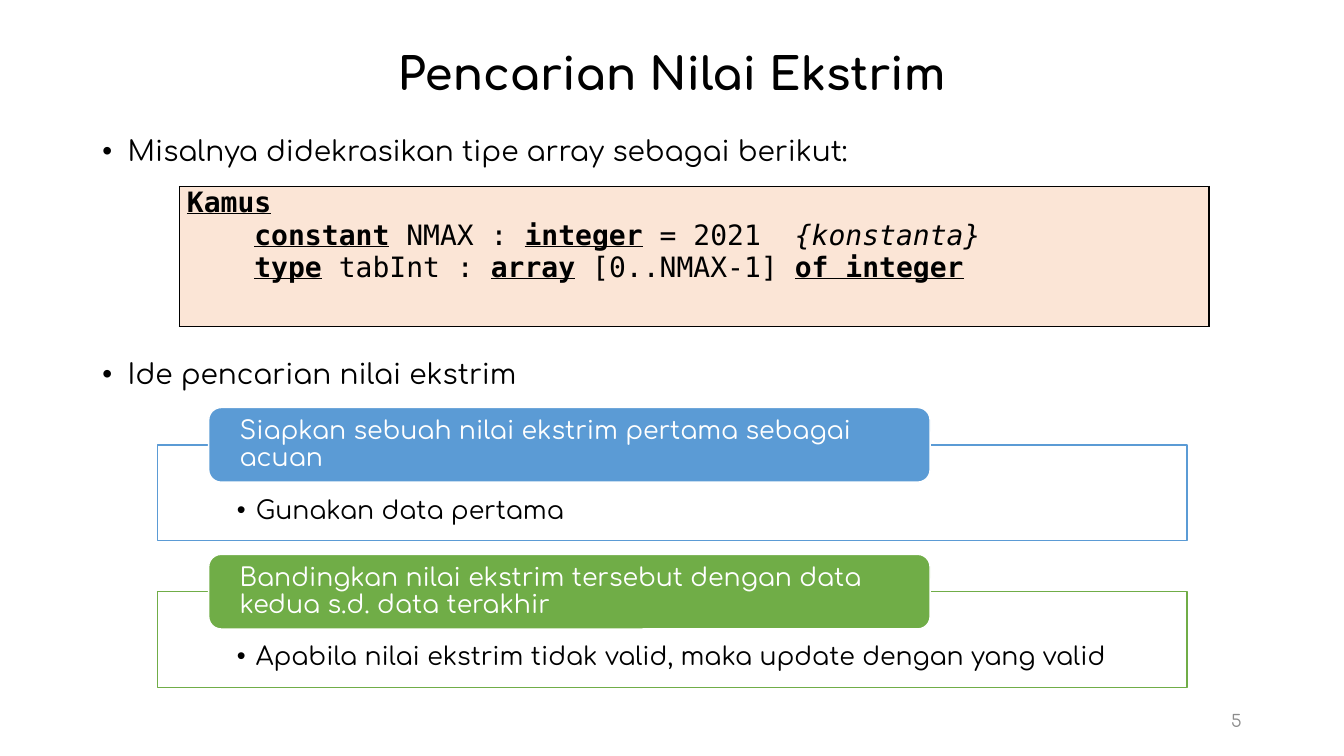
from lxml.etree import SubElement
from pptx import Presentation
from pptx.dml.color import RGBColor
from pptx.enum.shapes import MSO_SHAPE
from pptx.enum.text import MSO_ANCHOR, PP_ALIGN
from pptx.oxml.ns import qn
from pptx.util import Cm, Pt

BLACK = RGBColor(0x00, 0x00, 0x00)
WHITE = RGBColor(0xFF, 0xFF, 0xFF)
GRAY = RGBColor(0x8C, 0x8C, 0x8C)
BLUE = RGBColor(0x5B, 0x9B, 0xD5)
GREEN = RGBColor(0x70, 0xAD, 0x47)
PEACH = RGBColor(0xFB, 0xE5, 0xD6)
TEXT_FONT = "Comfortaa"
CODE_FONT = "DejaVu Sans Mono"

TITLE = "Pencarian Nilai Ekstrim"
POINTS = [
    ("Misalnya didekrasikan tipe array sebagai berikut:", 0),
    ("Ide pencarian nilai ekstrim", 137.6),
]
CODE_LINES = [
    (0, [("Kamus", "keyword")]),
    (1.7, [("constant", "keyword"), (" NMAX : ", "plain"), ("integer", "keyword"),
           (" = 2021  ", "plain"), ("{konstanta}", "comment")]),
    (1.7, [("type", "keyword"), (" tabInt : ", "plain"), ("array", "keyword"),
           (" [0..NMAX-1] ", "plain"), ("of integer", "keyword")]),
]
STEPS = [
    ("Siapkan sebuah nilai ekstrim pertama sebagai acuan",
     "Gunakan data pertama", BLUE),
    ("Bandingkan nilai ekstrim tersebut dengan data kedua s.d. data terakhir",
     "Apabila nilai ekstrim tidak valid, maka update dengan yang valid", GREEN),
]
SLIDE_NUMBER = "5"

MARGIN_LEFT, CONTENT_WIDTH = 2.33, 29.21
PANEL_LEFT, PANEL_WIDTH, PANEL_HEIGHT = 3.97, 25.95, 2.41
HEADER_LEFT, HEADER_WIDTH, HEADER_HEIGHT = 5.26, 18.18, 1.88
FIRST_HEADER_TOP, STEP_PITCH = 10.27, 3.7


def box(left, top, width, height):
    return Cm(left), Cm(top), Cm(width), Cm(height)


def add_run(paragraph, text, size, color, font=TEXT_FONT):
    run = paragraph.add_run()
    run.text = text
    run.font.name = font
    run.font.size = Pt(size)
    run.font.color.rgb = color
    return run


def add_bullet(paragraph, indent):
    properties = paragraph._p.get_or_add_pPr()
    properties.set("marL", str(Cm(indent)))
    properties.set("indent", str(-Cm(indent)))
    SubElement(properties, qn("a:buFont"), typeface="Arial")
    SubElement(properties, qn("a:buChar"), char="•")


def set_insets(frame, left, top, right, bottom):
    frame.word_wrap = True
    frame.margin_left, frame.margin_top = Cm(left), Cm(top)
    frame.margin_right, frame.margin_bottom = Cm(right), Cm(bottom)


def add_block(slide, preset, bounds, fill, line):
    shape = slide.shapes.add_shape(preset, *bounds)
    shape.shadow.inherit = False
    shape.fill.solid()
    shape.fill.fore_color.rgb = fill
    shape.line.color.rgb = line
    shape.line.width = Pt(1)
    paragraph = shape.text_frame.paragraphs[0]
    paragraph.alignment = PP_ALIGN.LEFT
    paragraph.line_spacing = 0.9
    return shape, paragraph


def add_title(slide):
    title = slide.shapes.title
    title.left, title.top, title.width, title.height = box(MARGIN_LEFT, 1.02, CONTENT_WIDTH, 1.78)
    title.text_frame.vertical_anchor = MSO_ANCHOR.MIDDLE
    paragraph = title.text_frame.paragraphs[0]
    paragraph.alignment = PP_ALIGN.CENTER
    paragraph.line_spacing = 0.9
    add_run(paragraph, TITLE, 32, BLACK).font.bold = True


def add_points(slide):
    frame = slide.shapes.add_textbox(*box(MARGIN_LEFT, 3.33, CONTENT_WIDTH, 6.6)).text_frame
    frame.word_wrap = True
    for index, (text, space_before) in enumerate(POINTS):
        paragraph = frame.add_paragraph() if index else frame.paragraphs[0]
        paragraph.line_spacing = 0.9
        paragraph.space_before = Pt(space_before)
        add_bullet(paragraph, 0.64)
        add_run(paragraph, text, 20, BLACK)


def add_code(slide):
    table = slide.shapes.add_table(1, 1, *box(4.52, 4.7, PANEL_WIDTH, 3.53)).table
    table.first_row = table.horz_banding = False
    cell = table.cell(0, 0)
    properties = cell._tc.get_or_add_tcPr()
    for side in ("lnL", "lnR", "lnT", "lnB"):
        border = SubElement(properties, qn(f"a:{side}"), w=str(Pt(1)))
        SubElement(SubElement(border, qn("a:solidFill")), qn("a:srgbClr"), val=str(BLACK))
    cell.fill.solid()
    cell.fill.fore_color.rgb = PEACH
    cell.margin_left = cell.margin_right = Cm(0.19)
    cell.margin_top = cell.margin_bottom = 0
    frame = cell.text_frame
    for index, (indent, parts) in enumerate(CODE_LINES):
        paragraph = frame.add_paragraph() if index else frame.paragraphs[0]
        paragraph._p.get_or_add_pPr().set("marL", str(Cm(indent)))
        for text, style in parts:
            run = add_run(paragraph, text, 20, BLACK, CODE_FONT)
            run.font.bold = run.font.underline = style == "keyword"
            run.font.italic = style == "comment"


def add_step(slide, index, heading, detail, color):
    header_top = FIRST_HEADER_TOP + index * STEP_PITCH
    panel_top = header_top + HEADER_HEIGHT / 2
    panel, paragraph = add_block(
        slide, MSO_SHAPE.RECTANGLE,
        box(PANEL_LEFT, panel_top, PANEL_WIDTH, PANEL_HEIGHT), WHITE, color)
    panel.text_frame.vertical_anchor = MSO_ANCHOR.TOP
    set_insets(panel.text_frame, 2, 1.32, 2, 0.36)
    add_bullet(paragraph, 0.48)
    add_run(paragraph, detail, 18, BLACK)

    header, paragraph = add_block(
        slide, MSO_SHAPE.ROUNDED_RECTANGLE,
        box(HEADER_LEFT, header_top, HEADER_WIDTH, HEADER_HEIGHT), color, WHITE)
    header.text_frame.vertical_anchor = MSO_ANCHOR.MIDDLE
    set_insets(header.text_frame, 0.69, 0, 0.69, 0)
    add_run(paragraph, heading, 18, WHITE)


def add_slide_number(slide):
    frame = slide.shapes.add_textbox(*box(23.92, 17.65, 7.62, 1.02)).text_frame
    frame.word_wrap = True
    frame.vertical_anchor = MSO_ANCHOR.MIDDLE
    paragraph = frame.paragraphs[0]
    paragraph.alignment = PP_ALIGN.RIGHT
    add_run(paragraph, SLIDE_NUMBER, 12, GRAY)


def main():
    presentation = Presentation()
    presentation.slide_width, presentation.slide_height = Cm(33.87), Cm(19.05)
    slide = presentation.slides.add_slide(presentation.slide_layouts[5])
    add_title(slide)
    add_points(slide)
    add_code(slide)
    for index, step in enumerate(STEPS):
        add_step(slide, index, *step)
    add_slide_number(slide)
    presentation.save("out.pptx")


if __name__ == "__main__":
    main()
